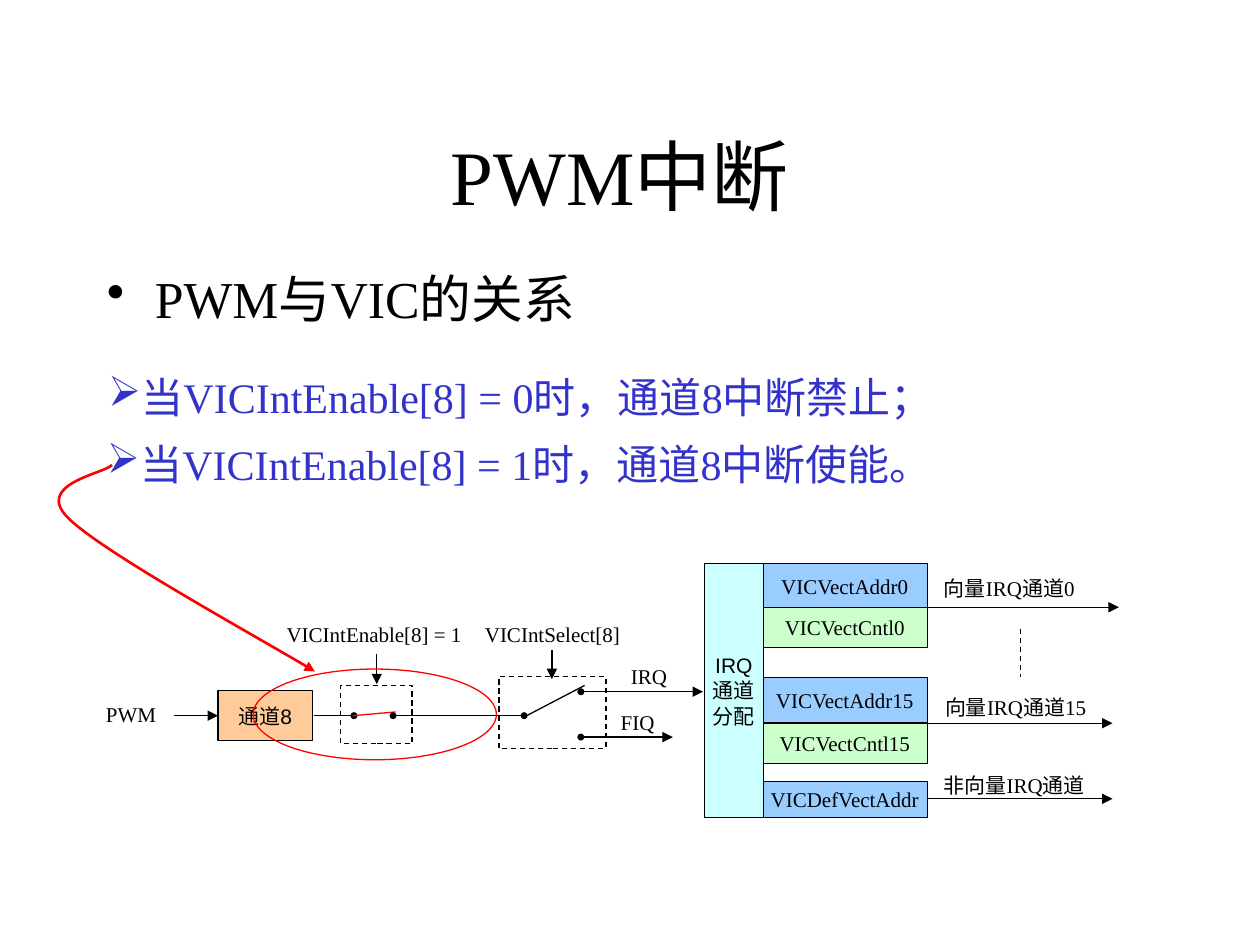
from lxml.etree import SubElement
from pptx import Presentation
from pptx.dml.color import RGBColor
from pptx.enum.dml import MSO_LINE_DASH_STYLE as Dash
from pptx.enum.shapes import MSO_CONNECTOR as Connector, MSO_SHAPE as Shape
from pptx.enum.text import MSO_ANCHOR as Anchor, MSO_AUTO_SIZE as AutoSize, PP_ALIGN as Align
from pptx.oxml.ns import qn
from pptx.util import Inches, Pt

SERIF, SANS = "Times New Roman", "Arial"
BLACK, RED, INDIGO = "000000", "FF0000", "3333CC"
BLUE, GREEN = "99CCFF", "CCFFCC"

presentation = Presentation()
presentation.slide_width, presentation.slide_height = Inches(10), Inches(7.5)
slide = presentation.slides.add_slide(presentation.slide_layouts[5])
shapes = slide.shapes
# The slide is a grid of 100 columns and 75 rows of square cells
CELL = presentation.slide_width // 100


def write(shape, text, size=12, font=SERIF, color=BLACK, align=Align.CENTER,
          wrap=True, bullet=None, indent=0):
    frame = shape.text_frame
    frame.text = text
    frame.word_wrap = wrap
    frame.auto_size = AutoSize.NONE
    for paragraph in frame.paragraphs:
        paragraph.alignment = align
        if bullet:
            properties = paragraph._p.get_or_add_pPr()
            properties.set("marL", str(int(indent * CELL)))
            properties.set("indent", str(int(-indent * CELL)))
            bullet_color = SubElement(properties, qn("a:buClr"))
            SubElement(bullet_color, qn("a:srgbClr"), val=color)
            SubElement(properties, qn("a:buChar"), char=bullet)
        paragraph.font.size = Pt(size)
        paragraph.font.name = font
        paragraph.font.color.rgb = RGBColor.from_string(color)
    return frame


def style_line(shape, color=BLACK, width=0.75, dash=None, head=None, tail=None):
    shape.line.color.rgb = RGBColor.from_string(color)
    shape.line.width = Pt(width)
    if dash:
        shape.line.dash_style = dash
    outline = shape.line._get_or_add_ln()
    for tag, kind in (("a:headEnd", head), ("a:tailEnd", tail)):
        if kind:
            scale = "sm" if kind == "oval" else "med"
            SubElement(outline, qn(tag), type=kind, w=scale, len=scale)


# Title
title = shapes.title
title.left, title.top, title.width, title.height = (
    int(n * CELL) for n in (6.7, 7.6, 85, 12.5))
write(title, "PWM中断", 44).vertical_anchor = Anchor.MIDDLE

# Bulleted statements: columns and rows, bullet, hanging indent, line spacing, text, size, colour
for left, top, width, height, bullet, indent, spacing, text, size, color in (
    (7.5, 21.2, 84.2, 6.3, "•", 3.8, 0.9, "PWM与VIC的关系", 29.6, BLACK),
    (7.6, 29, 71.7, 5, "➢", 0, 1.0, "当VICIntEnable[8] = 0时，通道8中断禁止；", 24, INDIGO),
    (7.5, 34.3, 71.7, 5, "➢", 0, 1.0, "当VICIntEnable[8] = 1时，通道8中断使能。", 24, INDIGO),
):
    box = shapes.add_textbox(*(int(n * CELL) for n in (left, top, width, height)))
    frame = write(box, text, size, color=color, align=Align.LEFT, bullet=bullet, indent=indent)
    frame.paragraphs[0].line_spacing = spacing

# Red curve: start point, then two control points and an end point per segment
curve_points = [(x * CELL, y * CELL) for x, y in (
    (8.9, 36.9), (8.3, 37.6), (2.7, 38.4), (5.4, 41.1),
    (8.1, 43.8), (20.9, 50.8), (25, 53.3))]
builder = shapes.build_freeform(*curve_points[0])
builder.add_line_segments(curve_points[1:], close=False)
curve = builder.convert_to_shape()
outline_steps = list(curve._element.iter(qn("a:lnTo")))
for start in range(0, len(outline_steps), 3):
    bezier = SubElement(outline_steps[start].getparent(), qn("a:cubicBezTo"))
    for step in outline_steps[start:start + 3]:
        bezier.append(step[0])
        step.getparent().remove(step)
curve.fill.background()
curve.shadow.inherit = False
style_line(curve, RED, 1.5, tail="triangle")

# Boxes and switch frames: columns and rows, fill, text, font, dash
for left, top, width, height, fill, text, font, dash in (
    (39.6, 53.7, 8.5, 5.7, "FFFFFF", "", SERIF, Dash.DASH),
    (27, 54.4, 5.7, 4.6, "FFFFFF", "", SERIF, Dash.DASH),
    (17.3, 54.8, 7.5, 4, "FFCC99", "通道8", SANS, None),
    (60.5, 44.7, 13.1, 3.6, BLUE, "VICVectAddr0", SERIF, None),
    (60.5, 48.2, 13.1, 3.2, GREEN, "VICVectCntl0", SERIF, None),
    (60.5, 53.8, 13.1, 3.6, BLUE, "VICVectAddr15", SERIF, None),
    (60.5, 57.4, 13.1, 3.2, GREEN, "VICVectCntl15", SERIF, None),
    (60.5, 62, 13.1, 2.9, BLUE, "VICDefVectAddr", SERIF, None),
    (55.9, 44.7, 4.7, 20.2, "CCFFFF", "IRQ\n通道\n分配", SANS, None),
):
    box = shapes.add_shape(Shape.RECTANGLE, *(int(n * CELL) for n in (left, top, width, height)))
    box.shadow.inherit = False
    box.fill.solid()
    box.fill.fore_color.rgb = RGBColor.from_string(fill)
    style_line(box, dash=dash)
    if text:
        write(box, text, font=font, wrap=False).vertical_anchor = Anchor.MIDDLE

# Labels: columns and rows, text
for left, top, width, height, text in (
    (7.2, 55.2, 6.4, 3, "PWM"),
    (21.7, 48.8, 16, 3, "VICIntEnable[8] = 1"),
    (36.9, 48.8, 13.9, 3, "VICIntSelect[8]"),
    (48.9, 52.2, 5.2, 3, "IRQ"),
    (48, 55.8, 5.2, 3, "FIQ"),
    (73.5, 45.2, 13.2, 5, "向量IRQ通道0"),
    (73.5, 54.6, 14.2, 5, "向量IRQ通道15"),
    (73.5, 60.8, 14, 3, "非向量IRQ通道"),
):
    write(shapes.add_textbox(*(int(n * CELL) for n in (left, top, width, height))), text)

# Wires: start, end, and what differs from a plain thin black line
ARROW = {"tail": "triangle"}
DOT_ARROW = {"head": "oval", "tail": "triangle"}
for x1, y1, x2, y2, look in (
    (13.8, 56.8, 17.3, 56.8, ARROW),
    (24.9, 56.8, 28.1, 56.8, {"tail": "oval"}),
    (28, 56.8, 31.4, 56.5, {"color": RED}),
    (31.2, 56.8, 41.6, 56.8, {"head": "oval", "tail": "oval"}),
    (41.8, 56.8, 46.4, 54.4, {}),
    (46.1, 54.9, 55.8, 54.9, DOT_ARROW),
    (46.1, 58.5, 53.4, 58.5, DOT_ARROW),
    (29.9, 51.9, 29.9, 54.3, ARROW),
    (43.8, 51.6, 43.8, 53.9, ARROW),
    (73.4, 48.2, 88.8, 48.2, ARROW),
    (73.5, 57.4, 88.3, 57.4, ARROW),
    (73.6, 63.4, 88.3, 63.4, ARROW),
    (81, 49.9, 81, 53.7, {"dash": Dash.DASH}),
):
    wire = shapes.add_connector(Connector.STRAIGHT, *(int(n * CELL) for n in (x1, y1, x2, y2)))
    style_line(wire, **look)
    SubElement(wire._element.spPr, qn("a:effectLst"))

# Red ring around the enable switch
ring = shapes.add_shape(Shape.OVAL, *(int(n * CELL) for n in (20.1, 53.1, 19.3, 7.2)))
ring.fill.background()
ring.shadow.inherit = False
style_line(ring, RED)

presentation.save("out.pptx")
